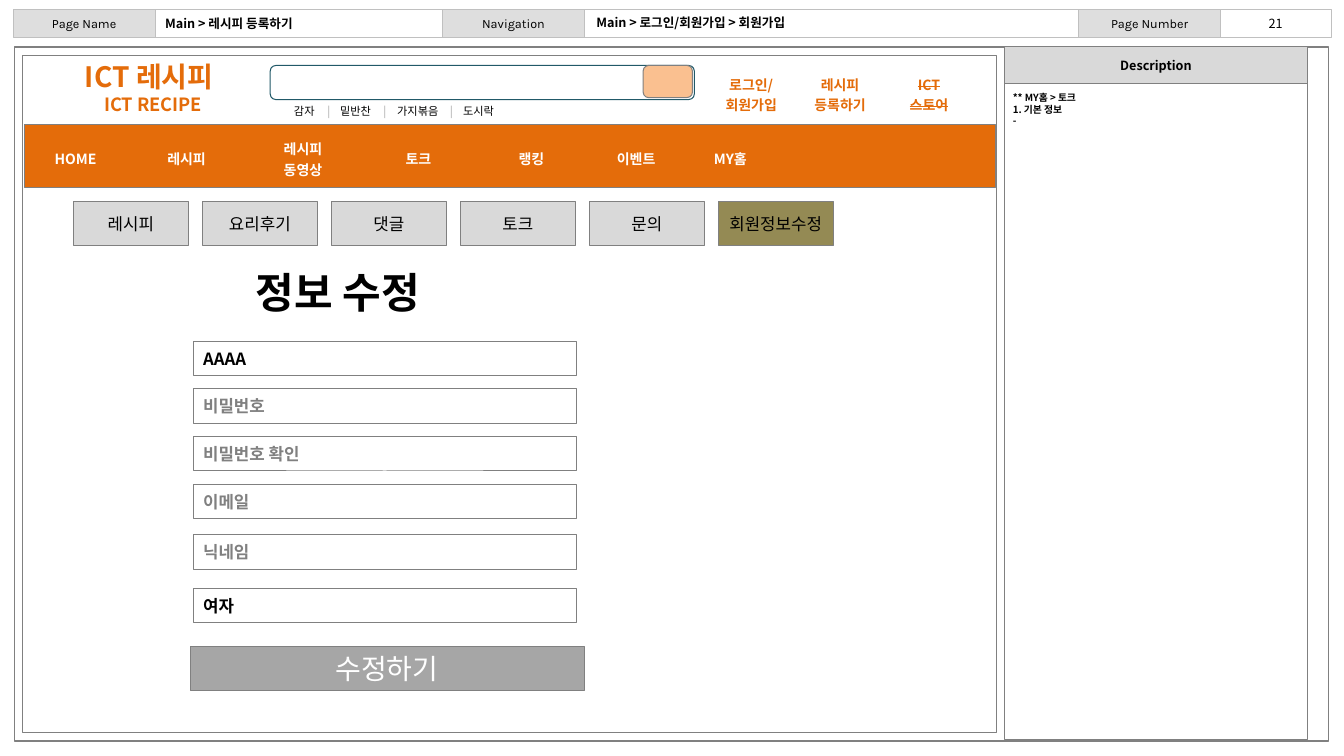
from lxml import etree
from pptx import Presentation
from pptx import util as u
from pptx.dml import color as dml
from pptx.enum import shapes as sh
from pptx.enum import text as tx
from pptx.oxml import ns


class Theme:
    font, latin = "Noto Sans CJK KR", "Karla"
    black, white, orange, peach = "000000", "FFFFFF", "E46C0A", "FAC090"
    gray, light, pale, label = "808080", "D9D9D9", "C0C0C0", "DEDEDE"
    mid, olive, teal = "A6A6A6", "948A54", "215968"
    tiny, small, note, nav, body = 7, 8, 9, 10, 12
    sub, logo, head = 13, 20, 30


LEFT, CENTER = tx.PP_ALIGN.LEFT, tx.PP_ALIGN.CENTER
TOP, MIDDLE = tx.MSO_ANCHOR.TOP, tx.MSO_ANCHOR.MIDDLE
NO_GRID = "{2D5ABB26-0587-4C30-8999-92F81FD0307C}"

deck = Presentation()
deck.slide_width, deck.slide_height = u.Cm(33.87), u.Cm(19.05)
slide = deck.slides.add_slide(deck.slide_layouts[1])


def write(frame, words, size=Theme.body, color=Theme.black, bold=False,
          align=LEFT, font=Theme.font, strike=False, join=False):
    """Add one paragraph per line, or join the words to the last paragraph."""
    for line in words.split("\n"):
        para = frame.paragraphs[-1]
        if para.runs and not join:
            para = frame.add_paragraph()
        para.alignment = align
        run = para.add_run()
        run.text = line
        run.font.size, run.font.bold, run.font.name = u.Pt(size), bold, font
        run.font.color.rgb = dml.RGBColor.from_string(color)
        props = run._r.get_or_add_rPr()
        etree.SubElement(props, ns.qn("a:ea"), typeface=font)
        if strike:
            props.set("strike", "sngStrike")


def box(x, y, w, h, fill=None, line=Theme.gray, width=0.75, pad=(0.1, 0),
        anchor=MIDDLE, kind=sh.MSO_SHAPE.RECTANGLE):
    """Draw a shape, or a plain text box if kind is None; return its frame."""
    place = [u.Cm(n) for n in (x, y, w, h)]
    if kind is None:
        item = slide.shapes.add_textbox(*place)
    else:
        item = slide.shapes.add_shape(kind, *place)
        item.shadow.inherit = False
        item.line.color.rgb = dml.RGBColor.from_string(line)
        item.line.width = u.Pt(width)
        if fill:
            item.fill.solid()
            item.fill.fore_color.rgb = dml.RGBColor.from_string(fill)
        else:
            item.fill.background()
    frame = item.text_frame
    frame.word_wrap, frame.vertical_anchor = True, anchor
    frame.margin_left = frame.margin_right = u.Cm(pad[0])
    frame.margin_top = frame.margin_bottom = u.Cm(pad[1])
    return frame


LOOSE = dict(pad=(0.25, 0.13), kind=None)

# Page frame and header bar
box(0.36, 1.19, 33.12, 17.48, width=1)
box(0.4, 0.23, 33.15, 0.71, line=Theme.pale)
for x, name in (0.33, "Page Name"), (11.15, "Navigation"), (27.18, "Page Number"):
    frame = box(x, 0.23, 3.58, 0.71, Theme.label, Theme.pale)
    write(frame, name, Theme.note, font=Theme.latin, align=CENTER)
write(box(30.78, 0.28, 2.74, 0.64, **LOOSE), "21", Theme.note, align=CENTER)

title, notes = slide.placeholders
title.left, title.top = u.Cm(3.91), u.Cm(0.25)
title.width, title.height = u.Cm(7.24), u.Cm(0.69)
title.text_frame.auto_size = tx.MSO_AUTO_SIZE.NONE
title.text_frame.vertical_anchor = MIDDLE
write(title.text_frame, "Main > 레시피 등록하기", Theme.note, bold=True)
write(box(14.78, 0.23, 7.24, 0.69, **LOOSE),
      "Main > 로그인/회원가입 > 회원가입", Theme.note, bold=True)

# Description panel
box(25.32, 1.19, 7.62, 17.45)
write(box(25.32, 1.17, 7.62, 0.94, Theme.light), "Description",
      Theme.note, bold=True, align=CENTER)
notes.left, notes.top = u.Cm(25.27), u.Cm(2.18)
notes.width, notes.height = u.Cm(7.62), u.Cm(9.83)
notes.text_frame.auto_size = tx.MSO_AUTO_SIZE.NONE
write(notes.text_frame, "** MY홈 > 토크\n1. 기본 정보\n-", Theme.tiny, bold=True)
for para in notes.text_frame.paragraphs:
    para.space_before = u.Pt(0)
    props = para._p.get_or_add_pPr()
    props.set("marL", str(u.Cm(0.64)))
    props.set("indent", str(-u.Cm(0.64)))
    etree.SubElement(props, ns.qn("a:buNone"))

# Mock-up frame, logo and menu band
box(0.58, 1.4, 24.54, 17.07)
box(0.61, 3.15, 24.49, 1.57, Theme.orange)
logo = box(1.32, 1.42, 4.88, 1.55, kind=None)
write(logo, "ICT 레시피", Theme.logo, Theme.orange, True, CENTER)
write(logo, "ICT RECIPE", Theme.sub, Theme.orange, True, CENTER)
logo.paragraphs[1]._p.get_or_add_pPr().set("marL", str(u.Cm(0.2)))

# Search field and its keywords
ROUND = sh.MSO_SHAPE.ROUNDED_RECTANGLE
box(6.81, 1.65, 10.69, 0.86, Theme.white, Theme.teal, kind=ROUND)
box(16.21, 1.65, 1.24, 0.81, Theme.peach, kind=ROUND)
tags = box(7.16, 2.49, 9.4, 0.61, anchor=TOP, **LOOSE)
for i, word in enumerate(("감자", "밑반찬", "가지볶음", "도시락")):
    if i:
        write(tags, "\t|\t", Theme.small, Theme.mid, join=True)
    write(tags, word, Theme.small, join=True)
stops = etree.SubElement(tags.paragraphs[0]._p.get_or_add_pPr(), ns.qn("a:tabLst"))
for stop in (0.84, 1.16, 2.25, 2.6, 3.93, 4.26):
    etree.SubElement(stops, ns.qn("a:tab"), pos=str(u.Cm(stop)), algn="l")

# Menu and account links
menu = ("HOME", "레시피", "레시피\n동영상", "토크", "랭킹", "이벤트", "MY홈")
links = ("로그인/\n회원가입", "레시피\n등록하기", "ICT\n스토어")
for x, y, h, names, cols, color, anchor in (
        (0.61, 3.23, 1.55, menu, (2.59, 3, 2.87, 2.95, 2.74, 2.54, 2.21),
         Theme.white, MIDDLE),
        (17.81, 1.75, 1.09, links, (2.24,) * 3, Theme.orange, TOP)):
    grid = slide.shapes.add_table(1, len(names), u.Cm(x), u.Cm(y),
                                  u.Cm(sum(cols)), u.Cm(h)).table
    grid.first_row = grid.horz_banding = False
    grid._tbl.tblPr.find(ns.qn("a:tableStyleId")).text = NO_GRID
    for i, name in enumerate(names):
        grid.columns[i].width = u.Cm(cols[i])
        cell = grid.cell(0, i)
        cell.fill.background()
        cell.vertical_anchor = anchor
        write(cell.text_frame, name, Theme.nav, color, True, CENTER,
              strike="스토어" in name)

# Tabs
tabs = ("레시피", "요리후기", "댓글", "토크", "문의", "회원정보수정")
for i, name in enumerate(tabs):
    fill = Theme.olive if name == tabs[-1] else Theme.light
    write(box(1.85 + 3.25 * i, 5.08, 2.9, 1.1, fill), name, align=CENTER)

# Form
write(box(6.2, 6.58, 5.94, 1.55, anchor=TOP, **LOOSE), "정보 수정",
      Theme.head, bold=True)
for y, name, color in ((8.6, "AAAA", Theme.black),
                       (9.8, "비밀번호", Theme.gray),
                       (11, "비밀번호 확인", Theme.gray),
                       (12.2, "이메일", Theme.gray),
                       (13.48, "닉네임", Theme.gray),
                       (14.83, "여자", Theme.black)):
    write(box(4.87, y, 9.65, 0.87, Theme.white, pad=(0.25, 0)), name,
          color=color, bold=True)
write(box(4.79, 16.3, 9.93, 1.1, Theme.mid), "수정하기", Theme.logo,
      Theme.white, align=CENTER)

deck.save("out.pptx")
